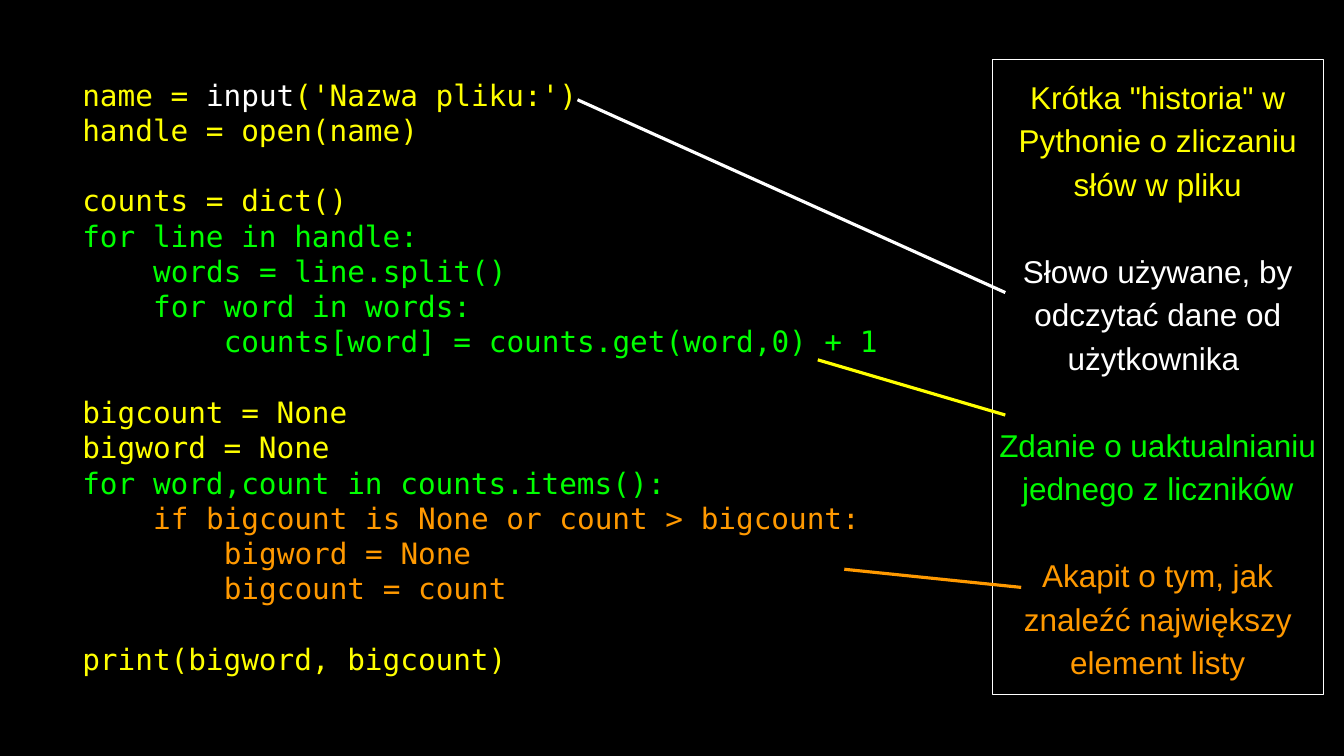
from dataclasses import dataclass

from pptx import Presentation
from pptx.dml.color import RGBColor
from pptx.enum.shapes import MSO_CONNECTOR, MSO_SHAPE
from pptx.enum.text import MSO_ANCHOR, PP_ALIGN
from pptx.oxml.ns import qn
from pptx.slide import Slide
from pptx.text.text import TextFrame
from pptx.util import Inches, Length, Pt


@dataclass(frozen=True)
class Theme:
    black: str = "000000"
    white: str = "FFFFFF"
    yellow: str = "FFFF00"
    green: str = "00FF00"
    note_green: str = "00FA00"
    orange: str = "FF9900"
    code_font: str = "DejaVu Sans Mono"
    note_font: str = "Arial"
    code_size: float = 28
    note_size: float = 30
    code_pitch: float = 33.6
    note_pitch: float = 41.4
    indent_step: float = 67.4


@dataclass(frozen=True)
class Line:
    text: str
    color: str
    level: int = 0
    gap: bool = False
    accent: str = ""


@dataclass(frozen=True)
class Area:
    left: float
    top: float
    width: float
    height: float


@dataclass(frozen=True)
class Pointer:
    start: tuple[float, float]
    end: tuple[float, float]
    color: str


THEME = Theme()
WIDTH, HEIGHT = Inches(17.78), Inches(10)

CODE_AREA = Area(6.13, 8.5, 61.7, 82.6)
NOTE_AREA = Area(73.85, 7.8, 24.58, 84)

CODE = [
    Line("name = input('Nazwa pliku:')", THEME.yellow, accent="input"),
    Line("handle = open(name)", THEME.yellow),
    Line("counts = dict()", THEME.yellow, gap=True),
    Line("for line in handle:", THEME.green),
    Line("words = line.split()", THEME.green, 1),
    Line("for word in words:", THEME.green, 1),
    Line("counts[word] = counts.get(word,0) + 1", THEME.green, 2),
    Line("bigcount = None", THEME.yellow, gap=True),
    Line("bigword = None", THEME.yellow),
    Line("for word,count in counts.items():", THEME.green),
    Line("if bigcount is None or count > bigcount:", THEME.orange, 1),
    Line("bigword = None", THEME.orange, 2),
    Line("bigcount = count", THEME.orange, 2),
    Line("print(bigword, bigcount)", THEME.yellow, gap=True),
]

NOTES = [
    Line('Krótka "historia" w Pythonie o zliczaniu słów w pliku', THEME.yellow),
    Line("Słowo używane, by odczytać dane od użytkownika ", THEME.white, gap=True),
    Line("Zdanie o uaktualnianiu jednego z liczników", THEME.note_green, gap=True),
    Line("Akapit o tym, jak znaleźć największy element listy", THEME.orange, gap=True),
]

POINTERS = [
    Pointer((42.97, 13.2), (74.8, 38.7), THEME.white),
    Pointer((60.85, 47.6), (74.8, 54.9), THEME.yellow),
    Pointer((62.82, 75.3), (75.98, 77.7), THEME.orange),
]


def rgb(color: str) -> RGBColor:
    return RGBColor.from_string(color)


def across(percent: float) -> Length:
    return Length(round(WIDTH * percent / 100))


def down(percent: float) -> Length:
    return Length(round(HEIGHT * percent / 100))


def place(area: Area) -> tuple[Length, Length, Length, Length]:
    return across(area.left), down(area.top), across(area.width), down(area.height)


def write_lines(frame: TextFrame, lines: list[Line], font: str, size: float,
                pitch: float, align: PP_ALIGN) -> None:
    frame.word_wrap = True
    frame.vertical_anchor = MSO_ANCHOR.MIDDLE
    frame.margin_left = frame.margin_right = frame.margin_top = frame.margin_bottom = 0
    for index, line in enumerate(lines):
        para = frame.add_paragraph() if index else frame.paragraphs[0]
        para.alignment = align
        para.line_spacing = Pt(pitch)
        para.space_before = Pt(pitch if line.gap else 0)
        para.font.name = font
        para.font.size = Pt(size)
        para.font.color.rgb = rgb(line.color)
        if line.level:
            margin = Pt(THEME.indent_step * line.level)
            para._p.get_or_add_pPr().set("marL", str(margin))
        parts = line.text.partition(line.accent) if line.accent else (line.text,)
        for part in parts:
            span = para.add_run()
            span.text = part
            if part == line.accent:
                span.font.color.rgb = rgb(THEME.white)


def draw_code(page: Slide) -> None:
    box = page.shapes.add_textbox(*place(CODE_AREA))
    write_lines(box.text_frame, CODE, THEME.code_font, THEME.code_size,
                THEME.code_pitch, PP_ALIGN.LEFT)


def draw_notes(page: Slide) -> None:
    box = page.shapes.add_shape(MSO_SHAPE.RECTANGLE, *place(NOTE_AREA))
    box.shadow.inherit = False
    box.fill.background()
    box.line.color.rgb = rgb(THEME.white)
    box.line.width = Pt(0.75)
    write_lines(box.text_frame, NOTES, THEME.note_font, THEME.note_size,
                THEME.note_pitch, PP_ALIGN.CENTER)


def draw_pointer(page: Slide, pointer: Pointer) -> None:
    (start_x, start_y), (end_x, end_y) = pointer.start, pointer.end
    connector = page.shapes.add_connector(
        MSO_CONNECTOR.STRAIGHT, across(start_x), down(start_y), across(end_x), down(end_y))
    connector.line.color.rgb = rgb(pointer.color)
    connector.line.width = Pt(3)
    properties = connector._element.spPr
    properties.append(properties.makeelement(qn("a:effectLst"), {}))


def main() -> None:
    deck = Presentation()
    deck.slide_width, deck.slide_height = WIDTH, HEIGHT
    page = deck.slides.add_slide(deck.slide_layouts[6])
    page.background.fill.solid()
    page.background.fill.fore_color.rgb = rgb(THEME.black)
    draw_code(page)
    draw_notes(page)
    for pointer in POINTERS:
        draw_pointer(page, pointer)
    deck.save("out.pptx")


if __name__ == "__main__":
    main()
